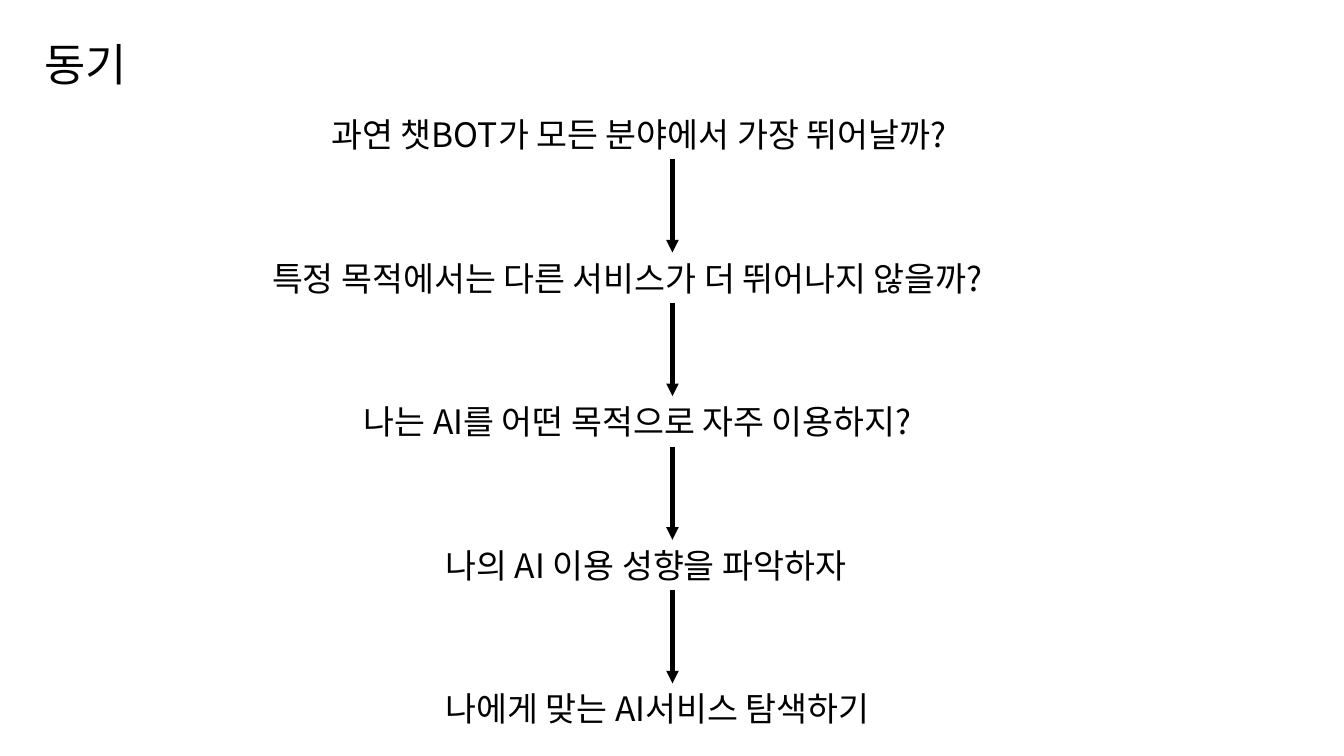
import pptx
import pptx.dml.color
import pptx.enum.shapes
import pptx.enum.text
import pptx.oxml.ns
import pptx.oxml.xmlchemy
import pptx.util
from pptx.util import Inches

FONT = "Noto Sans CJK KR"
BLACK = "000000"


def color(hex_code):
    return pptx.dml.color.RGBColor.from_string(hex_code)


def add_text(text, left, top, width, height, size):
    box = page.shapes.add_textbox(Inches(left), Inches(top), Inches(width), Inches(height))
    frame = box.text_frame
    frame.word_wrap = False
    frame.auto_size = pptx.enum.text.MSO_AUTO_SIZE.SHAPE_TO_FIT_TEXT
    span = frame.paragraphs[0].add_run()
    span.text = text
    span.font.name = FONT
    span.font.size = pptx.util.Pt(size)
    span.font.color.rgb = color(BLACK)
    # Hangul takes its typeface from a:ea
    east_asian = pptx.oxml.xmlchemy.OxmlElement("a:ea")
    east_asian.set("typeface", FONT)
    span.font._element.find(pptx.oxml.ns.qn("a:latin")).addnext(east_asian)


deck = pptx.Presentation()
deck.slide_width = Inches(13.33)
deck.slide_height = Inches(7.5)
page = deck.slides.add_slide(deck.slide_layouts[6])

add_text("동기", 0.34, 0.32, 1.1, 0.64, size=32)

# Each step: text, left, width
steps = [
    ("과연 챗BOT가 모든 분야에서 가장 뛰어날까?", 3.19, 6.95),
    ("특정 목적에서는 다른 서비스가 더 뛰어나지 않을까?", 2.6, 8.14),
    ("나는 AI를 어떤 목적으로 자주 이용하지?", 3.51, 6.31),
    ("나의 AI 이용 성향을 파악하자", 4.32, 4.69),
    ("나에게 맞는 AI서비스 탐색하기", 4.32, 4.91),
]
first_top, last_top = 1.08, 6.78
step_height = 0.5
pitch = (last_top - first_top) / (len(steps) - 1)
arrow_x = Inches(6.67)

for index, (text, left, width) in enumerate(steps):
    top = first_top + index * pitch
    add_text(text, left, top, width, step_height, size=24)
    if index == len(steps) - 1:
        continue
    arrow = page.shapes.add_connector(
        pptx.enum.shapes.MSO_CONNECTOR.STRAIGHT,
        arrow_x, Inches(top + step_height), arrow_x, Inches(top + pitch),
    )
    arrow.line.color.rgb = color(BLACK)
    arrow.line.width = pptx.util.Pt(3)
    head = pptx.oxml.xmlchemy.OxmlElement("a:tailEnd")
    head.set("type", "triangle")
    arrow.line._get_or_add_ln().append(head)
    arrow._element.spPr.append(pptx.oxml.xmlchemy.OxmlElement("a:effectLst"))

deck.save("out.pptx")
